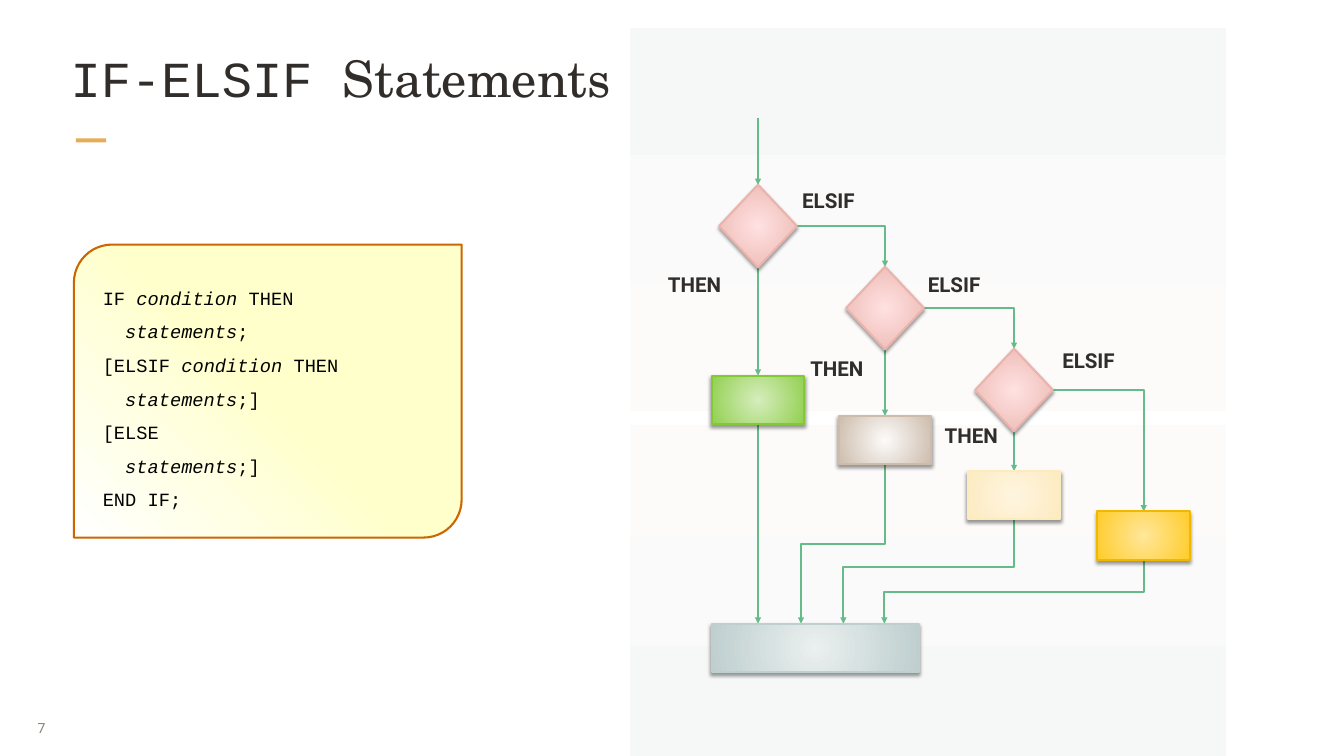
import pptx
import pptx.util
from lxml import etree
from pptx.dml.color import RGBColor
from pptx.enum.shapes import MSO_CONNECTOR, MSO_SHAPE
from pptx.enum.text import MSO_ANCHOR, MSO_AUTO_SIZE, PP_ALIGN
from pptx.oxml import parse_xml
from pptx.oxml.ns import qn

NAMESPACE = "http://schemas.openxmlformats.org/drawingml/2006/main"

INK = RGBColor(0x31, 0x2D, 0x2A)
BLACK = RGBColor(0x00, 0x00, 0x00)
WHITE = RGBColor(0xFF, 0xFF, 0xFF)
PAGE_GREY = RGBColor(0x8B, 0x80, 0x78)
ACCENT = RGBColor(0xE6, 0xAC, 0x58)
ARROW = RGBColor(0x65, 0xBB, 0x89)
PALE = RGBColor(0xFC, 0xFB, 0xFA)
MIST = RGBColor(0xF6, 0xF8, 0xF8)
CREAM = RGBColor(0xFF, 0xFF, 0xCC)
RUST = RGBColor(0xCC, 0x66, 0x00)
PINK = RGBColor(0xFF, 0xE1, 0xE1)
ROSE = RGBColor(0xEA, 0xB4, 0xAD)
SILVER = RGBColor(0xEA, 0xEF, 0xEF)
STEEL = RGBColor(0xBF, 0xCF, 0xCF)

# Centre, edge and outline colour of each statement block
BLOCK_COLOURS = [
    (RGBColor(0xD6, 0xED, 0xBD), RGBColor(0x92, 0xD0, 0x50), RGBColor(0x83, 0xC9, 0x37)),
    (PALE, RGBColor(0xCD, 0xBC, 0xAC), RGBColor(0xCD, 0xBC, 0xAC)),
    (RGBColor(0xFE, 0xF5, 0xE0), RGBColor(0xFD, 0xEB, 0xC0), RGBColor(0xFD, 0xEB, 0xC0)),
    (RGBColor(0xFF, 0xE7, 0x9B), RGBColor(0xFF, 0xCC, 0x29), RGBColor(0xF2, 0xB8, 0x00)),
]

# Flowchart grid, in inches
COLUMNS = [11.28, 13.17, 15.09, 17.02]
DIAMOND_TOPS = [2.75 + 1.22 * row for row in range(3)]
BLOCK_TOPS = [5.59, 6.19, 7.01, 7.61]
DIAMOND_WIDTH, DIAMOND_HEIGHT = 1.16, 1.23
BLOCK_WIDTH, BLOCK_HEIGHT = 1.38, 0.72
MERGE_LEFT, MERGE_TOP, MERGE_WIDTH = 10.59, 9.28, 3.08
MERGE_ENTRIES = [11.28, 11.92, 12.55, 13.16]
BEND_HEIGHTS = [None, 8.1, 8.44, 8.81]

# Asterisks enclose italic words
CODE_LINES = [
    "IF *condition* THEN",
    "  *statements*;",
    "[ELSIF *condition* THEN",
    "  *statements*;]",
    "[ELSE",
    "  *statements*;]",
    "END IF;",
]


def inches(*lengths):
    return [pptx.util.Inches(length) for length in lengths]


def fill_gradient(shape, stops, angle=None):
    """Fill along an angle, or outward from the centre when there is none."""
    if angle is None:
        direction = ('<a:path path="circle"><a:fillToRect l="50000" t="50000" '
                     'r="50000" b="50000"/></a:path>')
    else:
        direction = f'<a:lin ang="{angle * 60000}" scaled="0"/>'
    stop_list = "".join(
        f'<a:gs pos="{position * 1000}"><a:srgbClr val="{colour}"/></a:gs>'
        for position, colour in stops)
    gradient = parse_xml(
        f'<a:gradFill xmlns:a="{NAMESPACE}" rotWithShape="1">'
        f"<a:gsLst>{stop_list}</a:gsLst>{direction}</a:gradFill>")
    shape._element.spPr.find(qn("a:prstGeom")).addnext(gradient)


def add_shape(slide, kind, box, outline=None):
    shape = slide.shapes.add_shape(kind, *inches(*box))
    shape.shadow.inherit = False
    if outline is None:
        shape.line.fill.background()
    else:
        shape.line.color.rgb = outline
        shape.line.width = pptx.util.Pt(2.25)
    return shape


def add_node(slide, kind, box, centre, edge, outline):
    shape = add_shape(slide, kind, box, outline)
    fill_gradient(shape, [(0, centre), (100, edge)])
    shape._element.spPr.find(qn("a:effectLst")).append(parse_xml(
        f'<a:outerShdw xmlns:a="{NAMESPACE}" blurRad="50800" dist="38100" '
        'dir="5400000" rotWithShape="0"><a:srgbClr val="000000">'
        '<a:alpha val="40000"/></a:srgbClr></a:outerShdw>'))


def add_arrow(slide, kind, start, end):
    connector = slide.shapes.add_connector(kind, *inches(*start, *end))
    connector.line.color.rgb = ARROW
    connector.line.width = pptx.util.Pt(2.25)
    properties = connector._element.spPr
    etree.SubElement(properties.find(qn("a:ln")), qn("a:tailEnd"), type="triangle")
    etree.SubElement(properties, qn("a:effectLst"))
    return properties


def add_corner_arrow(slide, start, end):
    """Go right, then down."""
    properties = add_arrow(slide, MSO_CONNECTOR.ELBOW, start, end)
    properties.find(qn("a:prstGeom")).set("prst", "bentConnector2")


def add_step_arrow(slide, start, end, bend):
    """Go down to the bend, left, then down again: an elbow turned by 90°."""
    run, drop = start[0] - end[0], end[1] - start[1]
    left = (start[0] + end[0] - drop) / 2
    top = (start[1] + end[1] - run) / 2
    properties = add_arrow(slide, MSO_CONNECTOR.ELBOW, (left, top), (left + drop, top + run))
    properties.find(qn("a:xfrm")).set("rot", "5400000")
    guides = properties.find(qn("a:prstGeom")).get_or_add_avLst()
    share = round((bend - start[1]) / drop * 100000)
    etree.SubElement(guides, qn("a:gd"), name="adj1", fmla=f"val {share}")


def add_run(paragraph, text, **font):
    run = paragraph.add_run()
    run.text = text
    run.font.color.rgb = font.pop("colour")
    for name, value in font.items():
        setattr(run.font, name, value)


def set_frame(frame, insets, **settings):
    frame.margin_left = frame.margin_right = pptx.util.Inches(insets[0])
    frame.margin_top = frame.margin_bottom = pptx.util.Inches(insets[1])
    for name, value in {"word_wrap": True, **settings}.items():
        setattr(frame, name, value)
    return frame


def add_text_frame(slide, box, insets=(0.1, 0.05), **settings):
    return set_frame(slide.shapes.add_textbox(*inches(*box)).text_frame, insets, **settings)


def add_title(slide):
    title = slide.shapes.title
    title.left, title.top, title.width, title.height = inches(1.02, 0.67, 8.31, 1.28)
    frame = set_frame(title.text_frame, (0.03, 0.03), vertical_anchor=MSO_ANCHOR.TOP,
                      auto_size=MSO_AUTO_SIZE.NONE)
    paragraph = frame.paragraphs[0]
    paragraph.alignment = PP_ALIGN.LEFT
    for text, name in [("IF-ELSIF ", "Courier New"), ("Statements", "TeX Gyre Schola")]:
        add_run(paragraph, text, name=name, size=pptx.util.Pt(54), colour=INK)


def add_background(slide):
    # Accent bar and page number
    bar = add_shape(slide, MSO_SHAPE.RECTANGLE, (1.13, 2.06, 0.45, 0.06))
    bar.fill.solid()
    bar.fill.fore_color.rgb = ACCENT
    frame = add_text_frame(slide, (0.43, 10.54, 0.65, 0.58), (0.13, 0.07),
                           vertical_anchor=MSO_ANCHOR.MIDDLE)
    add_run(frame.paragraphs[0], "7", name="Roboto", size=pptx.util.Pt(15), colour=PAGE_GREY)
    # Panels behind the flowchart
    for box, angle in [((11.35, 4.35, 4.93, 8.87), 0), ((10.96, -1.17, 5.71, 8.87), 180)]:
        panel = add_shape(slide, MSO_SHAPE.RECTANGLE, box)
        panel.rotation = 90
        fill_gradient(panel, [(0, PALE), (100, MIST)], angle)


def add_code(slide):
    card = add_shape(slide, MSO_SHAPE.ROUND_2_DIAG_RECTANGLE, (1.1, 3.64, 5.77, 4.36), RUST)
    card.adjustments[0], card.adjustments[1] = 0.13, 0
    fill_gradient(card, [(0, CREAM), (50, CREAM), (100, WHITE)], 135)
    frame = add_text_frame(slide, (1.38, 3.96, 5.23, 3.78), (0.15, 0.08),
                           vertical_anchor=MSO_ANCHOR.MIDDLE)
    for number, line in enumerate(CODE_LINES):
        paragraph = frame.add_paragraph() if number else frame.paragraphs[0]
        paragraph.line_spacing = 1.5
        for index, part in enumerate(line.split("*")):
            add_run(paragraph, part, name="Courier New", size=pptx.util.Pt(20),
                    italic=index % 2 == 1, colour=BLACK)


def add_flowchart(slide):
    straight = MSO_CONNECTOR.STRAIGHT
    # Arrows into and out of the conditions
    add_arrow(slide, straight, (COLUMNS[0], 1.75), (COLUMNS[0], DIAMOND_TOPS[0]))
    next_tops = DIAMOND_TOPS[1:] + BLOCK_TOPS[-1:]
    for column, following, top, block_top, next_top in zip(
            COLUMNS, COLUMNS[1:], DIAMOND_TOPS, BLOCK_TOPS, next_tops):
        add_arrow(slide, straight, (column, top + DIAMOND_HEIGHT), (column, block_top))
        add_corner_arrow(slide, (column + DIAMOND_WIDTH / 2, top + DIAMOND_HEIGHT / 2),
                         (following, next_top))
    # Arrows from the blocks to the merge bar
    for column, top, entry, bend in zip(COLUMNS, BLOCK_TOPS, MERGE_ENTRIES, BEND_HEIGHTS):
        start, end = (column, top + BLOCK_HEIGHT), (entry, MERGE_TOP)
        if bend is None:
            add_arrow(slide, straight, start, end)
        else:
            add_step_arrow(slide, start, end, bend)
    # Conditions, blocks and merge bar
    for column, top in zip(COLUMNS, DIAMOND_TOPS):
        box = (column - DIAMOND_WIDTH / 2, top, DIAMOND_WIDTH, DIAMOND_HEIGHT)
        add_node(slide, MSO_SHAPE.DIAMOND, box, PINK, ROSE, ROSE)
    for column, top, colours in zip(COLUMNS, BLOCK_TOPS, BLOCK_COLOURS):
        box = (column - BLOCK_WIDTH / 2, top, BLOCK_WIDTH, BLOCK_HEIGHT)
        add_node(slide, MSO_SHAPE.RECTANGLE, box, *colours)
    add_node(slide, MSO_SHAPE.RECTANGLE, (MERGE_LEFT, MERGE_TOP, MERGE_WIDTH, BLOCK_HEIGHT),
             SILVER, STEEL, STEEL)
    # Branch labels
    for text, width, places in [
            ("THEN", 1.12, [(9.84, 4), (11.96, 5.25), (13.96, 6.25)]),
            ("ELSIF", 1.16, [(11.84, 2.75), (13.71, 4), (15.71, 5.13)])]:
        for left, top in places:
            frame = add_text_frame(slide, (left, top, width, 0.47))
            add_run(frame.paragraphs[0], text, name="Roboto", size=pptx.util.Pt(22),
                    bold=True, colour=INK)


def main():
    presentation = pptx.Presentation()
    presentation.slide_width, presentation.slide_height = inches(20, 11.25)
    slide = presentation.slides.add_slide(presentation.slide_layouts[5])
    add_background(slide)
    add_title(slide)
    add_code(slide)
    add_flowchart(slide)
    presentation.save("out.pptx")


if __name__ == "__main__":
    main()
